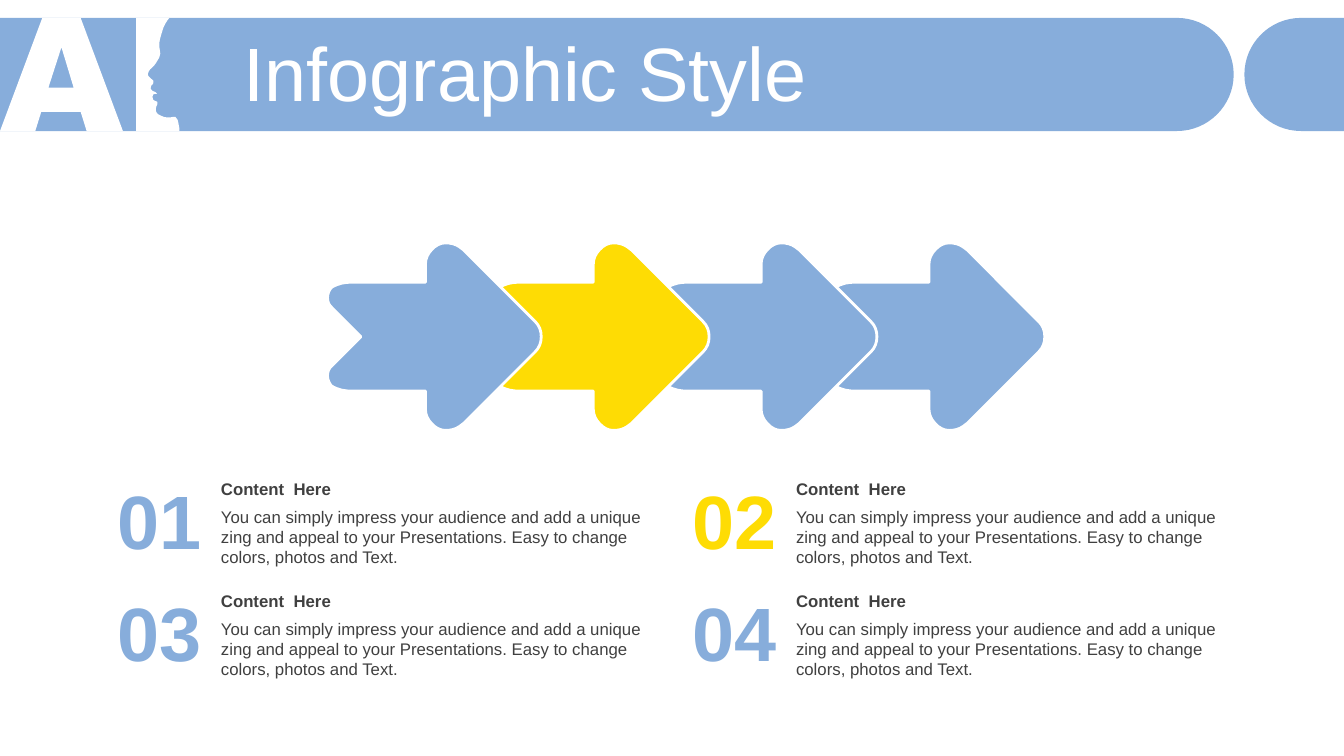
from copy import deepcopy
from dataclasses import dataclass
from math import sqrt

from pptx import Presentation
from pptx.dml.color import RGBColor
from pptx.enum.text import MSO_ANCHOR, MSO_AUTO_SIZE, PP_ALIGN
from pptx.oxml.ns import qn
from pptx.util import Pt

LEFT, RIGHT = PP_ALIGN.LEFT, PP_ALIGN.RIGHT
TOP, MIDDLE = MSO_ANCHOR.TOP, MSO_ANCHOR.MIDDLE
FIT, FIXED = MSO_AUTO_SIZE.SHAPE_TO_FIT_TEXT, MSO_AUTO_SIZE.NONE

COLORS = {"blue": "87ADDB", "yellow": "FEDC04", "white": "FFFFFF", "text": "404040"}
FONT = "Arial"
HEADING = "Content  Here"
BODY = (
    "You can simply impress your audience and add a unique zing and appeal "
    "to your Presentations. Easy to change colors, photos and Text."
)

Segment = tuple[float, ...]
Contour = list[Segment]

SLIDE_W, SLIDE_H = 960, 540
BAND_TOP, BAND_BOTTOM = 12.8, 93.6
BAND_RIGHT, CAP_LEFT = 881.2, 888.9
RADIUS = (BAND_BOTTOM - BAND_TOP) / 2
ARROW_LEFT, ARROW_MIDDLE, ARROW_PITCH = 234, 240.5, 119.9
COLUMN_PITCH, ROW_PITCH = 410.8, 79.8

LETTER_A = [(30.2, BAND_TOP), (57.6, BAND_TOP), (87.8, 93.6), (61.9, 93.6),
            (57.6, 79.9), (29.5, 79.9), (25.2, 93.6), (0, 93.6)]
LETTER_A_HOLE = [(43.9, 33.8), (34.6, 62.6), (52.6, 62.6)]
FACE = [
    (97.2, BAND_TOP), (121, BAND_TOP),
    (119.5, 14.4, 116.6, 18.7, 115.9, 22.3),
    (114.8, 26, 113.4, 30, 113.8, 33.1),
    (114.5, 38.2), (113.8, 41),
    (113, 42.5, 110.2, 47.5, 108.7, 48.2),
    (106.6, 49.7, 105.1, 52.6, 105.8, 54),
    (106.6, 55.4, 108, 56.2, 108.7, 56.9),
    (109.4, 56.9, 110.2, 58.3, 109.4, 59.8),
    (109.4, 60.5, 108, 60.5, 108, 61.2),
    (107.3, 62.6, 107.3, 64.1, 108.7, 64.8),
    (110.2, 65.5, 112.3, 66.2, 112.3, 67),
    (112.3, 67, 109.4, 67, 109.4, 67.7),
    (108.7, 68.4, 108.7, 69.8, 109.4, 71.3),
    (109.4, 72, 111.6, 72, 112.3, 72.7),
    (113, 74.2, 112.3, 74.2, 111.6, 76.3),
    (110.9, 78.5, 110.9, 81.4, 115.2, 82.8),
    (118.1, 84.2, 121, 84.2, 123.8, 83.5),
    (125.3, 83.5),
    (126.7, 85, 127.4, 86.4, 127.4, 87.8),
    (127.4, 89.3, 128.2, 90.7, 128.2, 92.2),
    (128.2, 93.6), (97.2, 93.6),
]
ARROW_UPPER_HALF = [
    (23.8, 0), (2.9, -20.9),
    (-1.4, -24.5, -0.7, -31.7, 2.9, -35.3),
    (7.9, -38.2, 12.2, -38.9, 17.3, -38.9),
    (69.9, -38.9), (69.9, -52),
    (69.9, -55.8, 71.6, -59.3, 74.2, -62),
    (77, -65.2, 80.6, -67, 84.2, -67),
    (87.8, -67, 91.4, -66.2, 94.3, -64.1),
    (97.2, -61.9), (148.3, -10.8),
    (151.2, -7.9, 152.6, -4.3, 152.6, 0),
]


@dataclass(frozen=True)
class Step:
    number: str
    color: str
    column: int
    row: int


@dataclass(frozen=True)
class TextStyle:
    size: float
    color: str
    bold: bool = False
    align: PP_ALIGN = LEFT
    anchor: MSO_ANCHOR = MIDDLE
    insets: tuple[float, float, float, float] = (0, 3.6, 7.2, 3.6)


STEPS = [
    Step("01", "blue", 0, 0),
    Step("02", "yellow", 1, 0),
    Step("03", "blue", 0, 1),
    Step("04", "blue", 1, 1),
]
HEADING_STYLE = TextStyle(12, "text", bold=True)
BODY_STYLE = TextStyle(12, "text", anchor=TOP)
TITLE_STYLE = TextStyle(54, "white", insets=(7.2, 3.6, 7.2, 3.6))


def rgb(name: str) -> RGBColor:
    return RGBColor.from_string(COLORS[name])


def pairs(seg: Segment) -> list[Segment]:
    return list(zip(seg[::2], seg[1::2]))


def round_end(edge: float, end: float) -> Contour:
    direction = 1 if end > edge else -1
    center, k = end - direction * RADIUS, 0.55 * RADIUS
    middle = BAND_TOP + RADIUS
    return [
        (edge, BAND_TOP), (center, BAND_TOP),
        (center + direction * k, BAND_TOP, end, middle - k, end, middle),
        (end, middle + k, center + direction * k, BAND_BOTTOM, center, BAND_BOTTOM),
        (edge, BAND_BOTTOM),
    ]


def mirrored(half: Contour) -> Contour:
    lower = []
    for i in range(len(half) - 1, 1, -1):
        points = pairs(half[i])[-2::-1] + [half[i - 1][-2:]]
        lower.append(tuple(v for x, y in points for v in (x, -y)))
    return half + lower


def turned_back(seg: Segment) -> Segment:
    return tuple(v for x, y in pairs(seg) for v in ((x + y) / sqrt(2), (y - x) / sqrt(2)))


def draw_outline(s, contours: list[Contour], color: str):
    ends = [[(Pt(seg[-2]), Pt(seg[-1])) for seg in c] for c in contours]
    fb = s.shapes.build_freeform(*ends[0][0])
    fb.add_line_segments(ends[0][1:], close=True)
    for contour in ends[1:]:
        fb.move_to(*contour[0])
        fb.add_line_segments(contour[1:], close=True)
    sp = fb.convert_to_shape()
    nodes = [n for n in sp.element.find(".//" + qn("a:path")) if n.tag != qn("a:close")]
    for node, seg in zip(nodes, (seg for c in contours for seg in c)):
        if len(seg) == 6:
            node.tag = qn("a:cubicBezTo")
            for i, (x, y) in enumerate(pairs(seg)[:2]):
                pt = deepcopy(node[-1])
                pt.set("x", str(Pt(x) - sp.left))
                pt.set("y", str(Pt(y) - sp.top))
                node.insert(i, pt)
    sp.shadow.inherit = False
    sp.fill.solid()
    sp.fill.fore_color.rgb = rgb(color)
    sp.line.fill.background()
    return sp


def draw_arrow(s, step: Step, index: int) -> None:
    contour = [turned_back(seg) for seg in mirrored(ARROW_UPPER_HALF)]
    sp = draw_outline(s, [contour], step.color)
    cx, cy = sp.left + sp.width / 2, sp.top + sp.height / 2
    sp.left = int(Pt(ARROW_LEFT + index * ARROW_PITCH) + (cx - cy) / sqrt(2) - sp.width / 2)
    sp.top = int(Pt(ARROW_MIDDLE) + (cx + cy) / sqrt(2) - sp.height / 2)
    sp.rotation = 45
    sp.line.color.rgb = rgb("white")
    sp.line.width = Pt(2)


def write(sp, text: str, style: TextStyle, fit: MSO_AUTO_SIZE = FIT) -> None:
    tf = sp.text_frame
    tf.text = text
    tf.word_wrap = True
    tf.auto_size = fit
    tf.vertical_anchor = style.anchor
    tf.margin_left, tf.margin_top, tf.margin_right, tf.margin_bottom = map(Pt, style.insets)
    p = tf.paragraphs[0]
    p.alignment = style.align
    font = p.runs[0].font
    font.name, font.size, font.bold = FONT, Pt(style.size), style.bold
    font.color.rgb = rgb(style.color)


def draw_step_text(s, step: Step) -> None:
    dx, dy = step.column * COLUMN_PITCH, step.row * ROW_PITCH
    group = s.shapes.add_group_shape()
    for text, top, height, style in ((HEADING, 338.4, 21.6, HEADING_STYLE),
                                     (BODY, 358.4, 51.1, BODY_STYLE)):
        sp = group.shapes.add_textbox(Pt(157.8 + dx), Pt(top + dy), Pt(320.4), Pt(height))
        write(sp, text, style)
    sp = s.shapes.add_textbox(Pt(76 + dx), Pt(338.4 + dy), Pt(67.7), Pt(65.5))
    write(sp, step.number, TextStyle(54, step.color, True, RIGHT, MIDDLE, (0, 0, 0, 0)))


def draw_title(s) -> None:
    title = s.shapes.title
    title.element.getparent().append(title.element)
    title.left, title.top, title.width, title.height = Pt(167), Pt(26.6), Pt(769.7), Pt(56.9)
    write(title, "Infographic Style", TITLE_STYLE, FIXED)
    p = title.text_frame.paragraphs[0]
    p.line_spacing, p.space_before = 0.9, Pt(10)


def main() -> None:
    prs = Presentation()
    prs.slide_width, prs.slide_height = Pt(SLIDE_W), Pt(SLIDE_H)
    s = prs.slides.add_slide(prs.slide_layouts[5])
    draw_outline(s, [round_end(0, BAND_RIGHT)], "blue")
    draw_outline(s, [LETTER_A, LETTER_A_HOLE, FACE], "white")
    draw_outline(s, [round_end(SLIDE_W, CAP_LEFT)], "blue")
    for index, step in reversed(list(enumerate(STEPS))):
        draw_arrow(s, step, index)
    draw_title(s)
    for step in STEPS:
        draw_step_text(s, step)
    prs.save("out.pptx")


if __name__ == "__main__":
    main()
